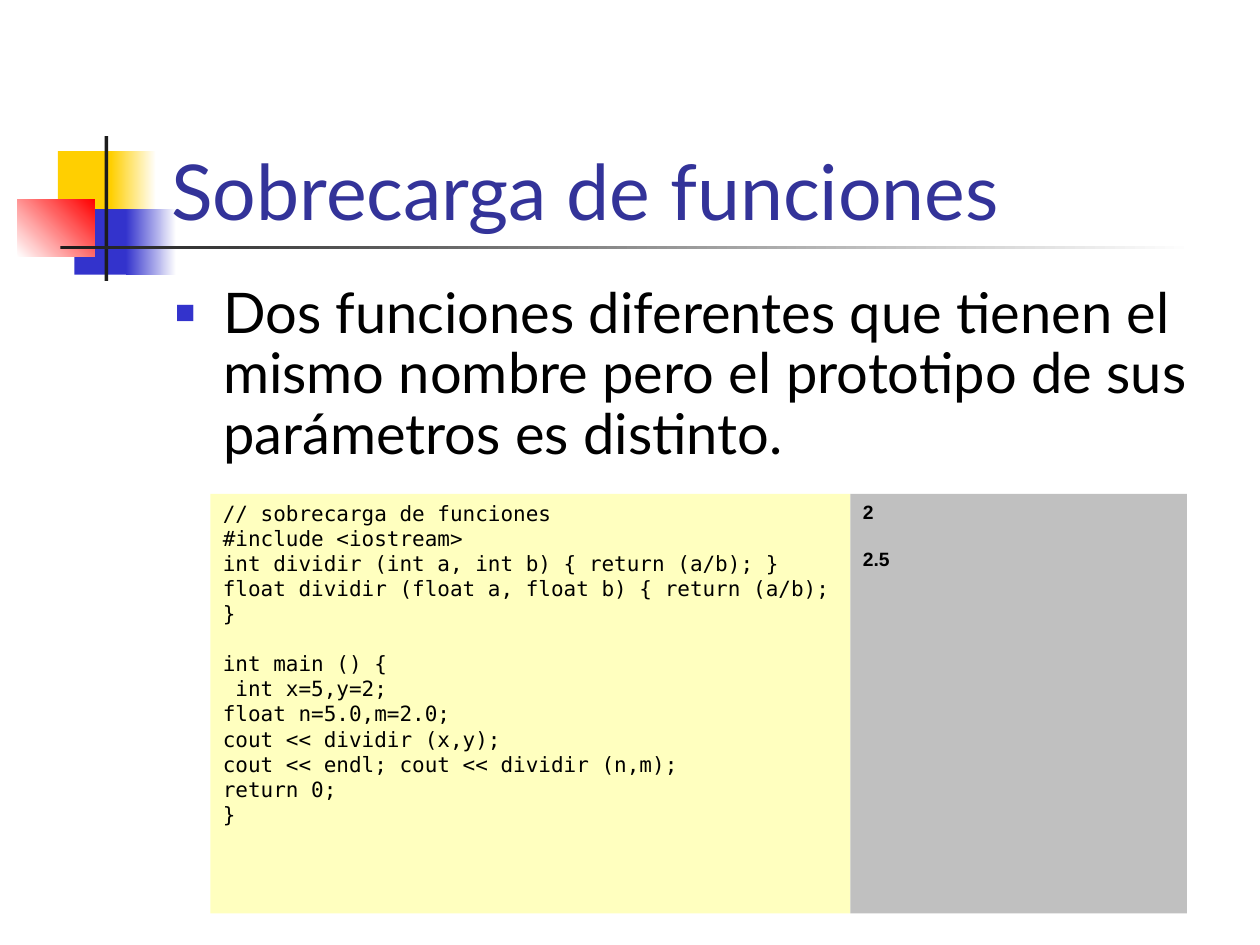
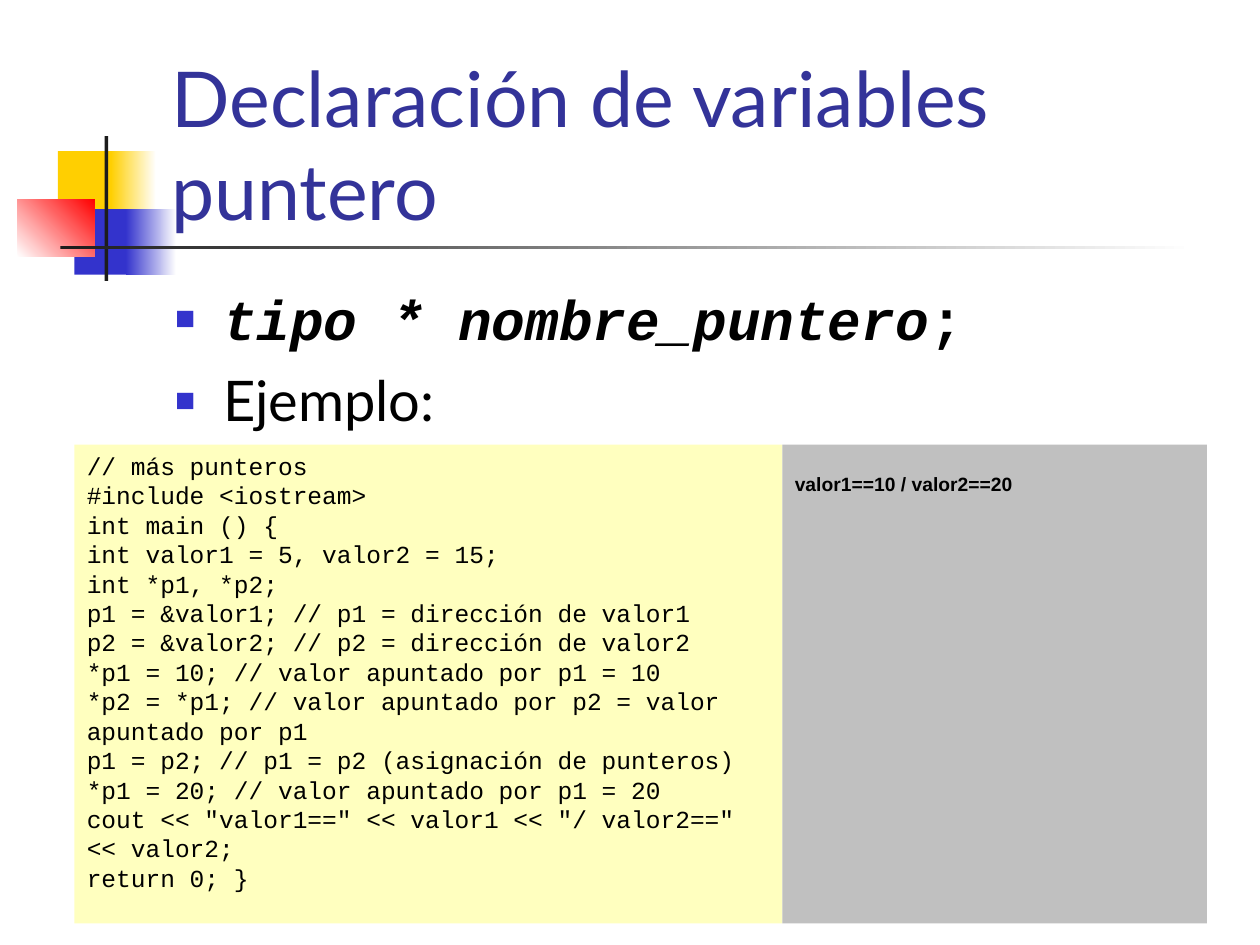
from dataclasses import dataclass

from lxml.etree import SubElement
from pptx import Presentation
from pptx.dml.color import RGBColor
from pptx.enum.shapes import MSO_SHAPE as Shape
from pptx.enum.text import MSO_ANCHOR as Anchor, MSO_AUTO_SIZE as AutoSize, PP_ALIGN as Align
from pptx.oxml.ns import qn
from pptx.util import Inches, Pt


# Theme: colours, fonts and type sizes
@dataclass(frozen=True)
class Theme:
    white: str = "FFFFFF"
    black: str = "000000"
    ink: str = "1C1C1C"
    yellow: str = "FFCF01"
    blue: str = "3333CC"
    red: str = "FF0000"
    title: str = "333399"
    code_panel: str = "FFFFBF"
    output_panel: str = "C0C0C0"
    text_font: str = "Lato"
    mono_font: str = "Courier New"
    output_font: str = "Arial"
    title_size: int = 44
    body_size: int = 32
    output_size: int = 11


THEME = Theme()
SYNTAX = {"name": THEME.mono_font, "bold": True}

# Content: each bullet is a list of (text, format) runs
SLIDES = [
    {
        "title": "Sobrecarga de funciones",
        "bullets": [[("Dos funciones diferentes que tienen el mismo nombre pero el "
                      "prototipo de sus parámetros es distinto.", {})]],
        "body_height": 1.63,
        "line_spacing": 0.9,
        "code": """// sobrecarga de funciones
#include <iostream>
int dividir (int a, int b) { return (a/b); }
float dividir (float a, float b) { return (a/b); }

int main () {
 int x=5,y=2;
float n=5.0,m=2.0;
cout << dividir (x,y);
cout << endl; cout << dividir (n,m);
return 0;
}""",
        "code_format": {"name": "DejaVu Sans Mono", "size": 12},
        "output": "2\n\n2.5",
        "output_top": 0.05,
        "panels": {"left": 1.67, "top": 3.92, "widths": (5.08, 2.67), "height": 3.33},
    },
    {
        "title": "Declaración de variables puntero",
        "bullets": [
            [("tipo * nombre_puntero", {**SYNTAX, "italic": True}), (";", SYNTAX)],
            [("Ejemplo:", {})],
        ],
        "body_height": 1.38,
        "line_spacing": 1.0,
        "code": """// más punteros
#include <iostream>
int main () {
int valor1 = 5, valor2 = 15;
int *p1, *p2;
p1 = &valor1; // p1 = dirección de valor1
p2 = &valor2; // p2 = dirección de valor2
*p1 = 10; // valor apuntado por p1 = 10
*p2 = *p1; // valor apuntado por p2 = valor apuntado por p1
p1 = p2; // p1 = p2 (asignación de punteros)
*p1 = 20; // valor apuntado por p1 = 20
cout << "valor1==" << valor1 << "/ valor2==" << valor2;
return 0; }""",
        "code_format": {"name": THEME.mono_font, "size": 14},
        "output": "valor1==10 / valor2==20",
        "output_top": 0.22,
        "panels": {"left": 0.59, "top": 3.53, "widths": (5.62, 3.37), "height": 3.8},
    },
]

# Master ornament: box, colours (two make a gradient), gradient angle
ORNAMENT = [
    ((0.46, 1.2, 0.48, 0.52), (THEME.yellow,), 0),
    ((0.88, 1.2, 0.36, 0.52), (THEME.yellow, THEME.white), 0),
    ((0.59, 1.66, 0.46, 0.52), (THEME.blue,), 0),
    ((1.0, 1.66, 0.4, 0.52), (THEME.blue, THEME.white), 0),
    ((0.14, 1.58, 0.61, 0.46), (THEME.white, THEME.red), 45),
    ((0.83, 1.08, 0.03, 1.15), (THEME.ink,), 0),
    ((0.48, 1.95, 9, 0.03), (THEME.ink, THEME.white), 0),
]


def rgb(colour):
    return RGBColor.from_string(colour)


def set_all(target, values):
    for key, value in values.items():
        setattr(target, key, value)


def place(part, box):
    set_all(part, dict(zip(("left", "top", "width", "height"), map(Inches, box))))


def write(paragraph, text, size, colour=THEME.black, **values):
    run = paragraph.add_run()
    run.text = text
    set_all(run.font, {"size": Pt(size), **values})
    run.font.color.rgb = rgb(colour)


def add_block(shapes, box, colours, angle=0):
    block = shapes.add_shape(Shape.RECTANGLE, *map(Inches, box))
    block.shadow.inherit = False
    block.line.fill.background()
    if len(colours) == 1:
        block.fill.solid()
        block.fill.fore_color.rgb = rgb(colours[0])
    else:
        block.fill.gradient()
        block.fill.gradient_angle = angle
        for stop, colour in zip(block.fill.gradient_stops, colours):
            stop.color.rgb = rgb(colour)
    return block


def add_ornament(master, slide):
    """Draw the ornament on a slide, then move it behind the master's parts."""
    for index, (box, colours, angle) in enumerate(ORNAMENT):
        block = add_block(slide.shapes, box, colours, angle).element
        block.nvSpPr.cNvPr.set("id", str(100 + index))
        master.shapes.element.insert(2 + index, block)


def add_bullet_mark(paragraph):
    properties = paragraph._p.get_or_add_pPr()
    properties.set("marL", str(Inches(0.38)))
    properties.set("indent", str(-Inches(0.38)))
    SubElement(SubElement(properties, qn("a:buClr")), qn("a:srgbClr"), val=THEME.blue)
    SubElement(properties, qn("a:buSzPct"), val="60000")
    SubElement(properties, qn("a:buFont"), typeface=THEME.output_font)
    SubElement(properties, qn("a:buChar"), char="■")


def fill_title(title, text):
    place(title, (1.26, 0.67, 8.52, 1.25))
    set_all(title.text_frame, {"word_wrap": True, "auto_size": AutoSize.NONE,
                               "vertical_anchor": Anchor.BOTTOM})
    heading = title.text_frame.paragraphs[0]
    heading.alignment = Align.LEFT
    write(heading, text, THEME.title_size, THEME.title, name=THEME.text_font)


def fill_body(body, content):
    place(body, (1.29, 2.21, 8.5, content["body_height"]))
    frame = body.text_frame
    set_all(frame, {"word_wrap": True, "auto_size": AutoSize.NONE})
    for index, runs in enumerate(content["bullets"]):
        bullet = frame.add_paragraph() if index else frame.paragraphs[0]
        set_all(bullet, {"space_before": Pt(8), "line_spacing": content["line_spacing"]})
        add_bullet_mark(bullet)
        for text, values in runs:
            write(bullet, text, THEME.body_size, **{"name": THEME.text_font, **values})


def add_panel(shapes, box, colour, text, top_inset, gap, **values):
    """Add a text panel; a blank line in the text becomes space before the next."""
    frame = add_block(shapes, box, (colour,)).text_frame
    set_all(frame, {"word_wrap": True, "vertical_anchor": Anchor.TOP,
                    "margin_top": Inches(top_inset)})
    space = 0
    paragraph = frame.paragraphs[0]
    for index, line in enumerate(text.split("\n")):
        if not line:
            space = gap
            continue
        if index:
            paragraph = frame.add_paragraph()
        set_all(paragraph, {"alignment": Align.LEFT, "space_before": Pt(space)})
        write(paragraph, line, **values)
        space = 0


def add_example(slide, content):
    panels = content["panels"]
    left, top, height = panels["left"], panels["top"], panels["height"]
    code_width, output_width = panels["widths"]
    shapes = slide.shapes.add_group_shape().shapes
    add_panel(shapes, (left, top, code_width, height), THEME.code_panel,
              content["code"], 0.05, 14, **content["code_format"])
    add_panel(shapes, (left + code_width, top, output_width, height), THEME.output_panel,
              content["output"], content["output_top"], 13.5,
              name=THEME.output_font, size=THEME.output_size, bold=True)


def main():
    deck = Presentation()
    set_all(deck, {"slide_width": Inches(10), "slide_height": Inches(7.5)})
    for index, content in enumerate(SLIDES):
        slide = deck.slides.add_slide(deck.slide_layouts[1])
        if index == 0:
            add_ornament(deck.slide_master, slide)
        fill_title(slide.shapes.title, content["title"])
        fill_body(slide.placeholders[1], content)
        add_example(slide, content)
    deck.save("out.pptx")


if __name__ == "__main__":
    main()
